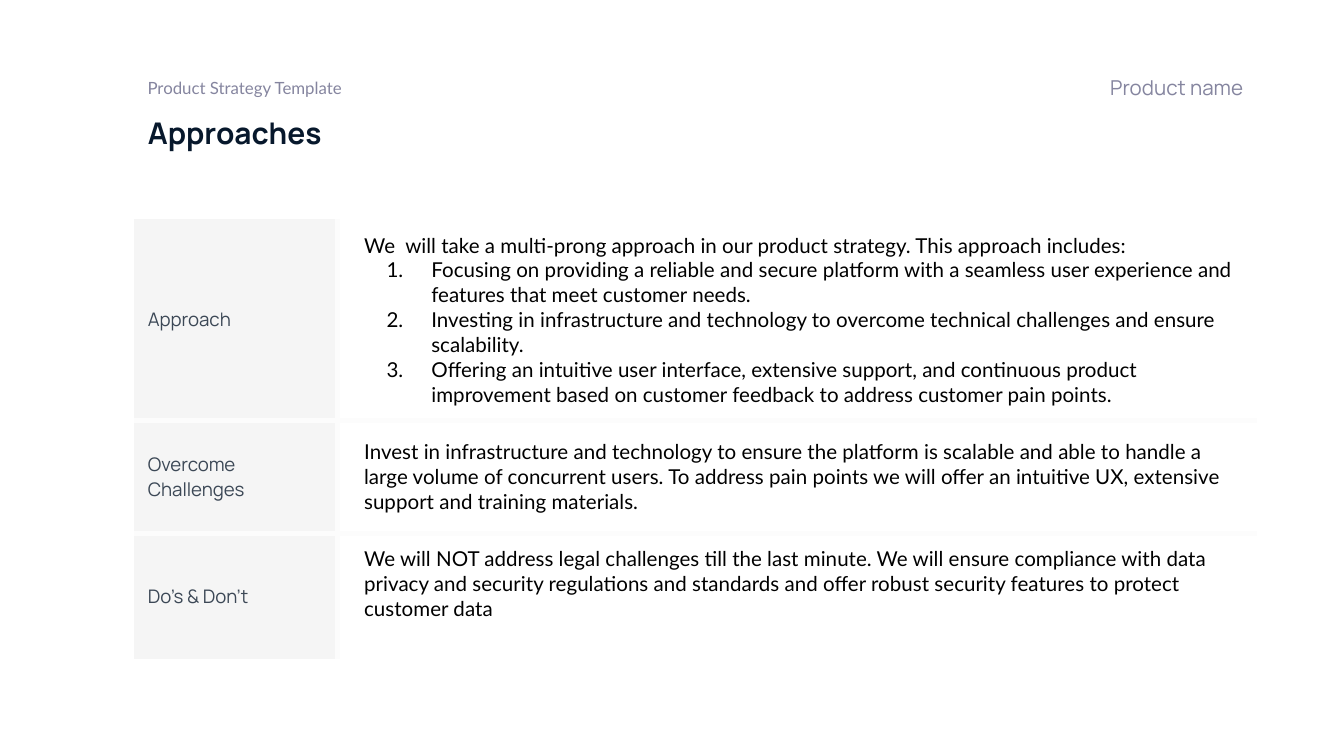
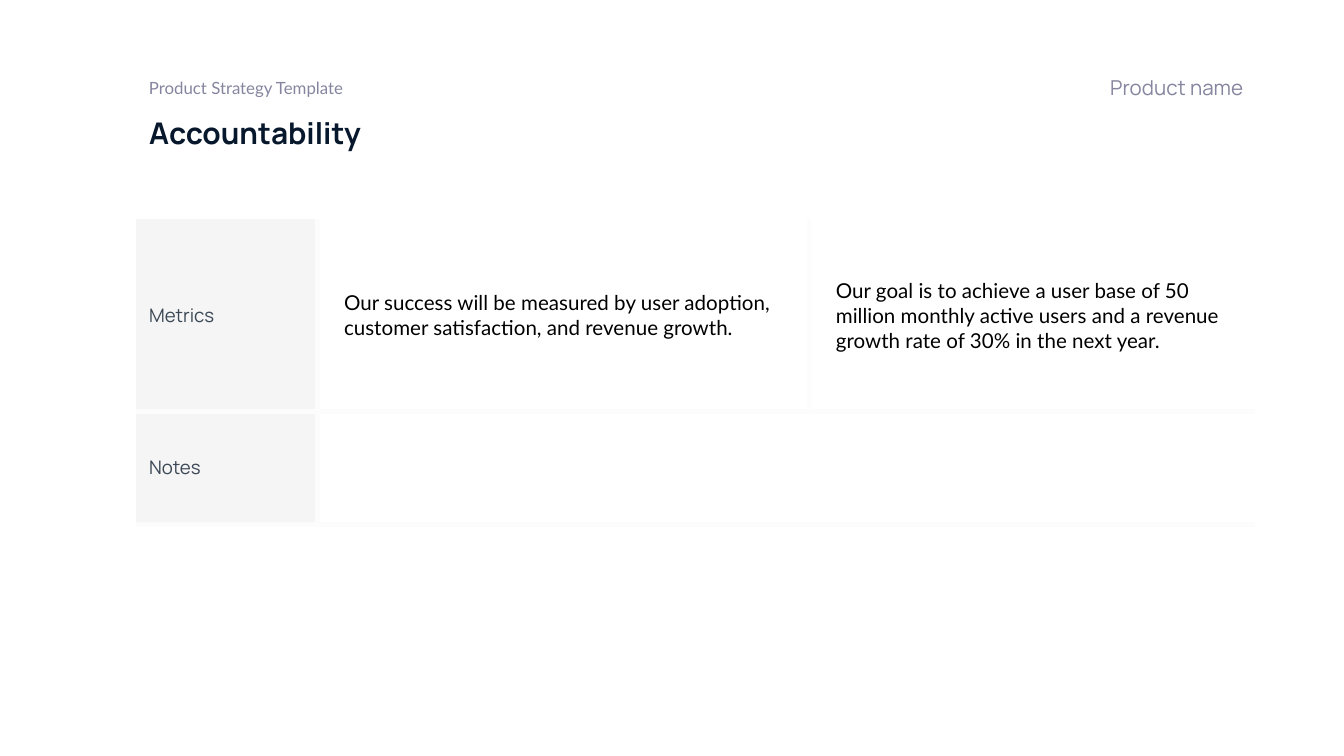
from lxml import etree
from pptx import Presentation
from pptx import util as u
from pptx.dml.color import RGBColor
from pptx.enum import text
from pptx.oxml import ns

EYEBROW = "Product Strategy Template"
PRODUCT = "Product name"

# A cell is a list of paragraphs; a tuple inside it is a numbered list.
SLIDES = [
    {
        "title": "Approaches", "left": 72, "title_width": 288, "eyebrow_width": 198.7,
        "columns": [108.7, 492.5], "rows": [106.8, 60.5, 67.2],
        "closed": False, "raised_row": 2,
        "cells": [
            [["Approach"],
             ["We  will take a multi-prong approach in our product strategy. "
              "This approach includes:",
              ("Focusing on providing a reliable and secure platform with a seamless "
               "user experience and features that meet customer needs.",
               "Investing in infrastructure and technology to overcome technical "
               "challenges and ensure scalability.",
               "Offering an intuitive user interface, extensive support, and continuous "
               "product improvement based on customer feedback to address customer "
               "pain points.")]],
            [["Overcome Challenges"],
             ["Invest in infrastructure and technology to ensure the platform is scalable "
              "and able to handle a large volume of concurrent users. To address pain "
              "points we will offer an intuitive UX, extensive support and training "
              "materials."]],
            [["Do’s & Don’t"],
             ["We will NOT address legal challenges till the last minute. We will ensure "
              "compliance with data privacy and security regulations and standards and "
              "offer robust security features to protect customer data"]],
        ],
    },
    {
        "title": "Accountability", "left": 72.7, "title_width": 285.8, "eyebrow_width": 285.8,
        "columns": [97.2, 263.5, 239], "rows": [103, 60.5],
        "closed": True, "raised_row": None,
        "cells": [
            [["Metrics"],
             ["Our success will be measured by user adoption, customer satisfaction, "
              "and revenue growth."],
             ["Our goal is to achieve a user base of 50 million monthly active users and "
              "a revenue growth rate of 30% in the next year."]],
            [["Notes"], []],
        ],
    },
]

TITLE = {"name": "Manrope", "size": 16, "bold": True, "color": "07182C"}
PRODUCT_NAME = {"name": "Manrope", "size": 11, "bold": False, "color": "85859F"}
EYEBROW_TEXT = {"name": "Lato", "size": 9, "bold": False, "color": "85859F"}
ROW_LABEL = {"name": "Manrope", "size": 10, "bold": False, "color": "3C4856"}
BODY = {"name": "Lato", "size": 11, "bold": False, "color": "000000"}
LABEL_FILL = "F5F5F5"
RULE_COLOR, RULE_WIDTH = "FCFCFC", 3
TABLE_TOP = 117.4
INSET, BODY_INSET, LINE = 7.2, 14.4, 13.2
NO_GRID = "{2D5ABB26-0587-4C30-8999-92F81FD0307C}"


def rgb(value):
    return RGBColor.from_string(value)


def add_xml(parent, tag, **attributes):
    return etree.SubElement(parent, ns.qn(tag), attributes)


def style(font, look):
    values = {"name": look["name"], "size": u.Pt(look["size"]), "bold": look["bold"]}
    for key, value in values.items():
        setattr(font, key, value)
    font.color.rgb = rgb(look["color"])


def fill_heading(heading, words, look, box, bottom=INSET,
                 anchor=text.MSO_ANCHOR.TOP, align=text.PP_ALIGN.LEFT):
    for key, value in zip(("left", "top", "width", "height"), box):
        setattr(heading, key, u.Pt(value))
    frame = heading.text_frame
    frame.text = words
    values = {"word_wrap": True, "auto_size": text.MSO_AUTO_SIZE.NONE,
              "vertical_anchor": anchor, "margin_left": u.Pt(INSET),
              "margin_right": u.Pt(INSET), "margin_top": u.Pt(INSET),
              "margin_bottom": u.Pt(bottom)}
    for key, value in values.items():
        setattr(frame, key, value)
    frame.paragraphs[0].alignment = align
    style(frame.paragraphs[0].runs[0].font, look)


def add_headings(slide, content):
    left = content["left"]
    fill_heading(slide.shapes.title, content["title"], TITLE,
                 (left, 54, content["title_width"], 33.8))
    product = slide.shapes.add_textbox(0, 0, 0, 0)
    fill_heading(product, PRODUCT, PRODUCT_NAME, (414, 33.1, 259.2, 23.8), bottom=3.6,
                 anchor=text.MSO_ANCHOR.BOTTOM, align=text.PP_ALIGN.RIGHT)
    eyebrow = slide.shapes.add_textbox(0, 0, 0, 0)
    fill_heading(eyebrow, EYEBROW, EYEBROW_TEXT, (left, 34.6, content["eyebrow_width"], 19.4))


def number(paragraph):
    properties = paragraph._p.get_or_add_pPr()
    properties.set("marL", str(u.Pt(36)))
    properties.set("indent", str(u.Pt(-24)))
    color = add_xml(properties, "a:buClr")
    add_xml(color, "a:srgbClr", val=BODY["color"])
    add_xml(properties, "a:buAutoNum", type="arabicPeriod")


def write_cell(cell, entries, look):
    lines = []
    for entry in entries:
        if isinstance(entry, tuple):
            lines += [(item, True) for item in entry]
        else:
            lines.append((entry, False))
    frame = cell.text_frame
    for index, (words, numbered) in enumerate(lines):
        paragraph = frame.add_paragraph() if index else frame.paragraphs[0]
        if numbered:
            number(paragraph)
        run = paragraph.add_run()
        run.text = words
        style(run.font, look)


def rule_cell(cell, sides):
    """Draw a rule on the named sides (L, R, T, B) and none on the others."""
    properties = cell._tc.get_or_add_tcPr()
    for side in "LRTB":
        line = add_xml(properties, f"a:ln{side}", w=str(u.Pt(RULE_WIDTH)))
        if side in sides:
            add_xml(add_xml(line, "a:solidFill"), "a:srgbClr", val=RULE_COLOR)
        else:
            add_xml(line, "a:noFill")


def add_strategy_table(slide, content):
    columns, rows = content["columns"], content["rows"]
    last_row, last_column = len(rows) - 1, len(columns) - 1
    table = slide.shapes.add_table(
        len(rows), len(columns), u.Pt(content["left"]), u.Pt(TABLE_TOP),
        u.Pt(sum(columns)), u.Pt(sum(rows))).table
    table._tbl.tblPr.find(ns.qn("a:tableStyleId")).text = NO_GRID
    table.first_row = table.horz_banding = False
    for column, width in zip(table.columns, columns):
        column.width = u.Pt(width)
    for row, height in zip(table.rows, rows):
        row.height = u.Pt(height)

    for r, entries in enumerate(content["cells"]):
        if len(entries) < len(columns):
            table.cell(r, len(entries) - 1).merge(table.cell(r, last_column))
        for c in range(len(columns)):
            cell = table.cell(r, c)
            is_label = c == 0
            raised = r == content["raised_row"] and not is_label
            values = {"vertical_anchor": text.MSO_ANCHOR.MIDDLE,
                      "margin_left": u.Pt(INSET if is_label else BODY_INSET),
                      "margin_right": u.Pt(INSET), "margin_top": u.Pt(INSET),
                      "margin_bottom": u.Pt(INSET + LINE * raised)}
            for key, value in values.items():
                setattr(cell, key, value)
            merged = len(entries) < len(columns) and c >= len(entries) - 1
            sides = {"L": c > 0 and not cell.is_spanned,
                     "R": c < last_column and not merged,
                     "T": r > 0, "B": r < last_row or content["closed"]}
            rule_cell(cell, [side for side, shown in sides.items() if shown])
            if is_label:
                cell.fill.solid()
                cell.fill.fore_color.rgb = rgb(LABEL_FILL)
            else:
                cell.fill.background()
            if c < len(entries):
                write_cell(cell, entries[c], ROW_LABEL if is_label else BODY)


def main():
    deck = Presentation()
    deck.slide_width, deck.slide_height = u.Pt(720), u.Pt(405)
    title_only = deck.slide_layouts[5]
    for content in SLIDES:
        slide = deck.slides.add_slide(title_only)
        add_headings(slide, content)
        add_strategy_table(slide, content)
    deck.save("out.pptx")


if __name__ == "__main__":
    main()
